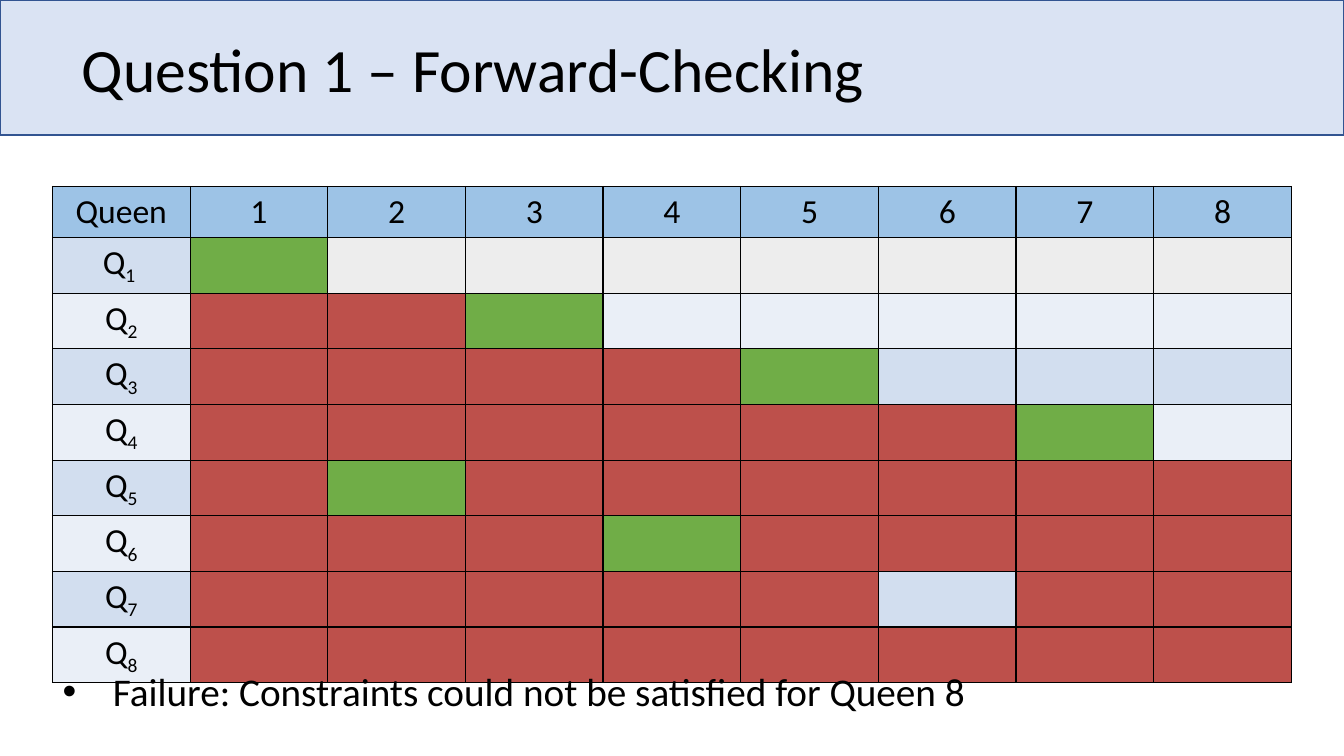
"""Build the forward-checking slide for the eight queens question."""
from typing import NamedTuple

from lxml.etree import SubElement
from pptx import Presentation
from pptx.dml.color import RGBColor
from pptx.enum.shapes import MSO_SHAPE
from pptx.enum.text import MSO_ANCHOR, MSO_AUTO_SIZE, PP_ALIGN
from pptx.oxml import parse_xml
from pptx.oxml.ns import nsdecls, qn
from pptx.util import Inches, Pt

FONT = "Calibri"
BLACK = RGBColor(0x00, 0x00, 0x00)
BANNER = RGBColor(0xDA, 0xE3, 0xF3)
EDGE = RGBColor(0x32, 0x54, 0x91)
HEAD = RGBColor(0x9D, 0xC3, 0xE6)
DARK = RGBColor(0xD2, 0xDE, 0xEF)
LIGHT = RGBColor(0xEA, 0xEF, 0xF7)
GREY = RGBColor(0xED, 0xED, 0xED)
GREEN = RGBColor(0x70, 0xAD, 0x47)
RED = RGBColor(0xBD, 0x50, 0x4B)


class Queen(NamedTuple):
    """A table row: subscript and square marks (Q placed, x ruled out)."""
    sub: str
    marks: str
    band: RGBColor
    free: RGBColor


QUEENS = [
    Queen("1 ", "Q.......", DARK, GREY),
    Queen("2", "xxQ.....", LIGHT, LIGHT),
    Queen("3", "xxxxQ...", DARK, DARK),
    Queen("4", "xxxxxxQ.", LIGHT, LIGHT),
    Queen("5", "xQxxxxxx", DARK, DARK),
    Queen("6", "xxxQxxxx", LIGHT, LIGHT),
    Queen("7", "xxxxx.xx", DARK, DARK),
    Queen("8", "xxxxxxxx", LIGHT, LIGHT),
]


def style(para, size: float, align=PP_ALIGN.LEFT) -> None:
    """Format a paragraph and its runs."""
    para.alignment = align
    for run in para.runs:
        run.font.name = FONT
        run.font.size = Pt(size)
        run.font.color.rgb = BLACK


def place(shape, left: float, top: float, width: float, height: float) -> None:
    """Move and size a shape in inches."""
    shape.left, shape.top = Inches(left), Inches(top)
    shape.width, shape.height = Inches(width), Inches(height)


def paint(cell, color: RGBColor) -> None:
    """Fill a cell."""
    cell.fill.solid()
    cell.fill.fore_color.rgb = color


def label(cell, text: str, color: RGBColor, sub: str = "") -> None:
    """Write a centred cell label with an optional second run."""
    paint(cell, color)
    cell.vertical_anchor = MSO_ANCHOR.MIDDLE
    para = cell.text_frame.paragraphs[0]
    para.text = text
    if sub:
        para.add_run().text = sub
    style(para, 24, PP_ALIGN.CENTER)


def add_title(slide) -> None:
    """Format the title and put the banner behind it."""
    title = slide.shapes.title
    place(title, 0.71, -0.01, 11.5, 1.45)
    title.text_frame.text = "Question 1 – Forward-Checking"
    title.text_frame.vertical_anchor = MSO_ANCHOR.MIDDLE
    para = title.text_frame.paragraphs[0]
    para.line_spacing = 0.9
    style(para, 44)
    banner = slide.shapes.add_shape(
        MSO_SHAPE.RECTANGLE, 0, 0, Inches(13.33), Inches(1.34))
    banner.shadow.inherit = False
    banner.fill.solid()
    banner.fill.fore_color.rgb = BANNER
    banner.line.color.rgb = EDGE
    banner.line.width = Pt(1)
    title.element.addprevious(banner.element)


def add_board(slide):
    """Add the table of queens and return its frame."""
    frame = slide.shapes.add_table(
        9, 9, Inches(0.52), Inches(1.85), Inches(12.29), Inches(4.5))
    table = frame.table
    table.horz_banding = False
    for row in table.rows:
        row.height = Inches(0.43)
    frame.height = Inches(4.5)
    for col in range(9):
        label(table.cell(0, col), str(col) if col else "Queen", HEAD)
    for row, queen in enumerate(QUEENS, 1):
        label(table.cell(row, 0), "Q", queen.band, queen.sub)
        tints = {"Q": GREEN, "x": RED, ".": queen.free}
        for col, mark in enumerate(queen.marks, 1):
            paint(table.cell(row, col), tints[mark])
    for props in frame.element.iter(qn("a:tcPr")):
        for spot, side in enumerate("LRTB"):
            props.insert(spot, parse_xml(
                f'<a:ln{side} {nsdecls("a")} w="12700"><a:solidFill>'
                f'<a:srgbClr val="{BLACK}"/></a:solidFill></a:ln{side}>'))
    for run in frame.element.iter(qn("a:r")):
        prior = run.getprevious()
        if prior is not None and prior.tag == run.tag:
            run.find(qn("a:rPr")).set("baseline", "-25000")
    return frame


def add_note(slide, frame) -> None:
    """Write the bulleted result in the body placeholder above the table."""
    body = slide.placeholders[1]
    place(body, 0.52, 6.57, 11.59, 0.57)
    body.text_frame.text = (
        "Failure: Constraints could not be satisfied for Queen 8")
    body.text_frame.auto_size = MSO_AUTO_SIZE.SHAPE_TO_FIT_TEXT
    para = body.text_frame.paragraphs[0]
    para.space_before = Pt(0)
    style(para, 28)
    for props in body.element.iter(qn("a:pPr")):
        props.set("marL", str(Inches(0.5)))
        props.set("indent", str(Inches(-0.5)))
        SubElement(props, qn("a:buFont")).set("typeface", "Arial")
        SubElement(props, qn("a:buChar")).set("char", "•")
    body.element.addprevious(frame.element)


def main() -> None:
    """Build and save the slide."""
    deck = Presentation()
    deck.slide_width, deck.slide_height = Inches(13.33), Inches(7.5)
    slide = deck.slides.add_slide(deck.slide_layouts[1])
    add_title(slide)
    add_note(slide, add_board(slide))
    deck.save("out.pptx")


if __name__ == "__main__":
    main()
